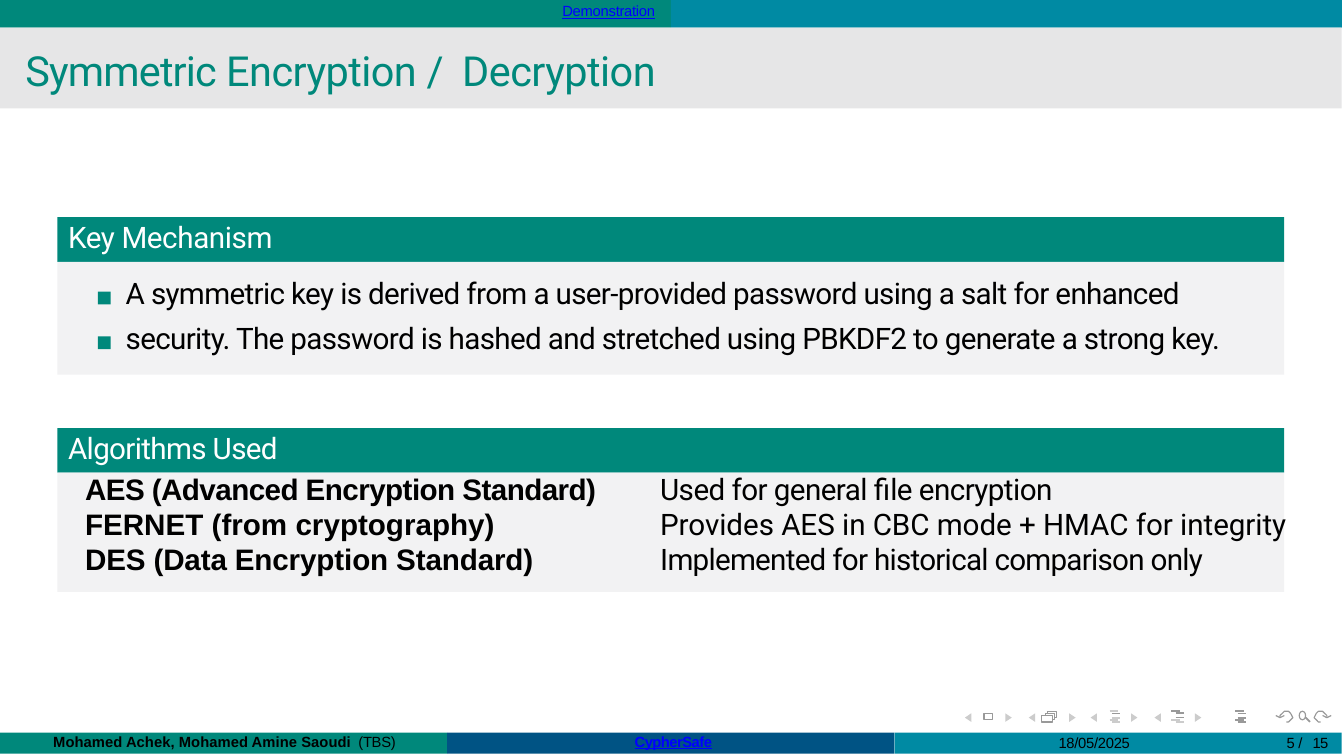
from lxml.etree import SubElement
from pptx import Presentation
from pptx.dml.color import RGBColor
from pptx.enum.shapes import MSO_CONNECTOR as Link, MSO_SHAPE as Kind
from pptx.enum.text import MSO_ANCHOR as Anchor, PP_ALIGN as Align
from pptx.oxml.ns import qn
from pptx.util import Inches, Pt

WIDE, HIGH, FULL = 6.31, 3.55, 6.3
TEAL, CYAN, NAVY, BLUE = "00887B", "008AA3", "005384", "0000FF"
PALE, MIST, GREY, DARK = "E6E6E7", "F2F2F3", "CCCCCC", "999999"
BLACK, WHITE = "000000", "FFFFFF"
HALF, THIRD = FULL / 2, FULL / 3
LEFT, SPAN, HEAD = 0.27, 5.76, 0.21
TOP, FOOT, BAR = 0.13, 3.44, 0.1

TITLE = [("Symmetric ", -0.3), ("Encryption ", -0.2), ("/ ", 1.4), ("Decryption", -0.2)]
PANELS = [("Key Mechanism", -0.1, 1.02, 0.53), ("Algorithms Used", -0.2, 2.01, 0.56)]
BODY = ("A symmetric key is derived from a user-provided password using a salt "
        "for enhanced security. The password is hashed and stretched using "
        "PBKDF2 to generate a strong key.")
NAMES = [("AES (Advanced Encryption Standard)", -0.16),
         ("FERNET (from cryptography)", 0.03),
         ("DES (Data Encryption Standard)", -0.03)]
USES = [("Used for general file encryption", -0.18),
        ("Provides AES in CBC mode + HMAC for integrity", 0),
        ("Implemented for historical comparison only", -0.22)]
AUTHORS = [("Mohamed Achek, Mohamed Amine Saoudi", 0, True), (" ", 0.8), ("(TBS)", -0.1)]
PAGE = [("5 ", -0.2), ("/ ", 1), ("15", -0.2)]
BARS = [
    (0, 0, HALF, TOP, TEAL), (HALF, 0, HALF, TOP, CYAN),
    (0, TOP, FULL, 0.38, PALE),
    *[(i * THIRD, FOOT, THIRD, BAR, hue) for i, hue in enumerate((TEAL, NAVY, CYAN))],
]
PAIRS = [4.53, 4.83, 5.12, 5.42]
LINES = [
    (GREY, [(5.21, 3.34), (5.22, 3.37), (5.21, 3.38), (5.22, 3.39)]),
    (DARK, [(5.5, 3.34), (5.52, 3.35), (5.52, 3.37)]),
    (GREY, [(5.5, 3.38), (5.52, 3.39)]),
    (DARK, [(5.8, 3.34), (5.81, 3.35), (5.81, 3.37), (5.8, 3.38), (5.81, 3.39)]),
]
SHEETS = [
    [[(4.62, 3.38), (4.66, 3.38), (4.66, 3.35), (4.62, 3.35), (4.62, 3.38)]],
    [[(4.89, 3.39), (4.94, 3.39), (4.94, 3.36), (4.89, 3.36), (4.89, 3.39)],
     [(4.91, 3.36), (4.91, 3.35), (4.95, 3.35), (4.95, 3.38), (4.94, 3.38)],
     [(4.92, 3.35), (4.92, 3.34), (4.96, 3.34), (4.96, 3.37), (4.95, 3.37)]],
]
TURN = [
    [(6.04, 3.39), (6.05, 3.39), (6.06, 3.38), (6.07, 3.37), (6.06, 3.35), (6.05, 3.34),
     (6.04, 3.34), (6.03, 3.34), (6.02, 3.35), (6.01, 3.36), (6.01, 3.37)],
    [(6.03, 3.36), (6.01, 3.37), (5.99, 3.36)],
]
AXIS = 12.24

deck = Presentation()
deck.slide_width, deck.slide_height = Inches(WIDE), Inches(HIGH)
slide = deck.slides.add_slide(deck.slide_layouts[6])
shapes = slide.shapes


def rgb(hue):
    """Turn a hex string into a colour."""
    return RGBColor.from_string(hue)


def paint(shape, fill=None, line=None, size=0.4):
    """Set the fill and outline of a shape."""
    shape.shadow.inherit = False
    if fill:
        shape.fill.solid()
        shape.fill.fore_color.rgb = rgb(fill)
    else:
        shape.fill.background()
    if line:
        shape.line.color.rgb = rgb(line)
        shape.line.width = Pt(size)
    else:
        shape.line.fill.background()
    return shape


def block(x, y, w, h, fill=None, kind=Kind.RECTANGLE, line=None):
    """Add a preset shape."""
    return paint(shapes.add_shape(kind, *map(Inches, (x, y, w, h))), fill, line)


def trace(paths, **look):
    """Add one outline made of several strokes."""
    paths = [[(Inches(x), Inches(y)) for x, y in dots] for dots in paths]
    form = shapes.build_freeform(*paths[0][0], scale=1.0)
    for i, dots in enumerate(paths):
        if i:
            form.move_to(*dots[0])
        form.add_line_segments(dots[1:], close="fill" in look)
    paint(form.convert_to_shape(), **look)


def rule(x, y, u, v, hue):
    """Add a thin straight line."""
    link = shapes.add_connector(Link.STRAIGHT, *map(Inches, (x, y, u, v)))
    link.line.color.rgb = rgb(hue)
    link.line.width = Pt(0.6)
    SubElement(link._element.spPr, qn("a:effectLst"))


def write(rows, box=None, shape=None, size=5, face="Arial", hue=BLACK, pad=0,
          dent=0.02, lead=None, bold=False, under=False):
    """Write rows of (text, spacing, bold) runs in a box or shape."""
    shape = shape or shapes.add_textbox(*map(Inches, box))
    frame = shape.text_frame
    frame.word_wrap, frame.vertical_anchor = True, Anchor.TOP
    frame.margin_left, frame.margin_top = Inches(dent), Inches(pad)
    frame.margin_right = frame.margin_bottom = 0
    for i, row in enumerate(rows):
        para = frame.add_paragraph() if i else frame.paragraphs[0]
        para.alignment = Align.LEFT
        if lead:
            para.line_spacing = lead
        for text, gap, *heavy in row:
            run = para.add_run()
            run.text = text
            font = run.font
            font.name, font.size, font.bold = face, Pt(size), bool(heavy) or bold
            font.color.rgb = rgb(hue)
            font.underline = under
            font._element.set("spc", str(round(gap * 100)))


for sheet in SHEETS:
    trace(sheet, line=DARK)
for x in PAIRS:
    trace([[(base, 3.35), (tip, 3.37), (base, 3.39)]
           for base, tip in ((x + 0.03, x), (x + 0.19, x + 0.22))], fill=GREY)
for hue, starts in LINES:
    trace([[(x, y), (x + 0.04, y)] for x, y in starts], line=hue, size=0.6)
rule(5.22, 3.35, 5.26, 3.35, DARK)
block(6.1, 3.34, 0.03, 0.04, kind=Kind.OVAL, line=DARK)
rule(6.13, 3.37, 6.15, 3.39, DARK)
trace(TURN + [[(AXIS - x, y) for x, y in arc] for arc in TURN], line=DARK)

for bar in BARS:
    block(*bar)
write([[("Demonstration", -0.1)]], (2.62, 0, 0.52, 0.11), hue=BLUE, pad=0.01, under=True)
write([TITLE], (0.1, 0.19, 4, 0.27), size=14, face="Roboto", hue=TEAL, pad=0.02)

for name, gap, y, high in PANELS:
    write([[(name, gap)]], shape=block(LEFT, y, SPAN, HEAD, TEAL),
          size=10, face="Roboto", hue=WHITE, dent=0.05, pad=0.01)
    block(LEFT, y + HEAD, SPAN, high, MIST)
for i in range(2):
    block(0.46, 1.37 + HEAD * i, 0.06, 0.06, TEAL)
write([[(BODY, -0.2)]], (LEFT, 1.23, 5.58, 0.53), size=10, face="Roboto",
      pad=0.02, dent=0.32, lead=1.25)
for cells, x, face in ((NAMES, 0.4, "Arial"), (USES, 3.1, "Roboto")):
    write([[cell] for cell in cells], (x, 2.21, 3.1, 0.56), size=10, face=face,
          dent=0, lead=Pt(12), bold=cells is NAMES)

write([AUTHORS], (0.23, FOOT, 1.8, BAR), lead=Pt(5.9))
write([[("CypherSafe", -0.2)]], (2.96, FOOT, 0.5, BAR),
      hue=BLUE, lead=Pt(5.9), bold=True, under=True)
write([[("18/05/2025", -0.1)]], (4.95, 3.45, 0.5, BAR), lead=Pt(5.8))
write([PAGE], (6.02, 3.45, 0.28, BAR), lead=Pt(5.8))

deck.save("out.pptx")
